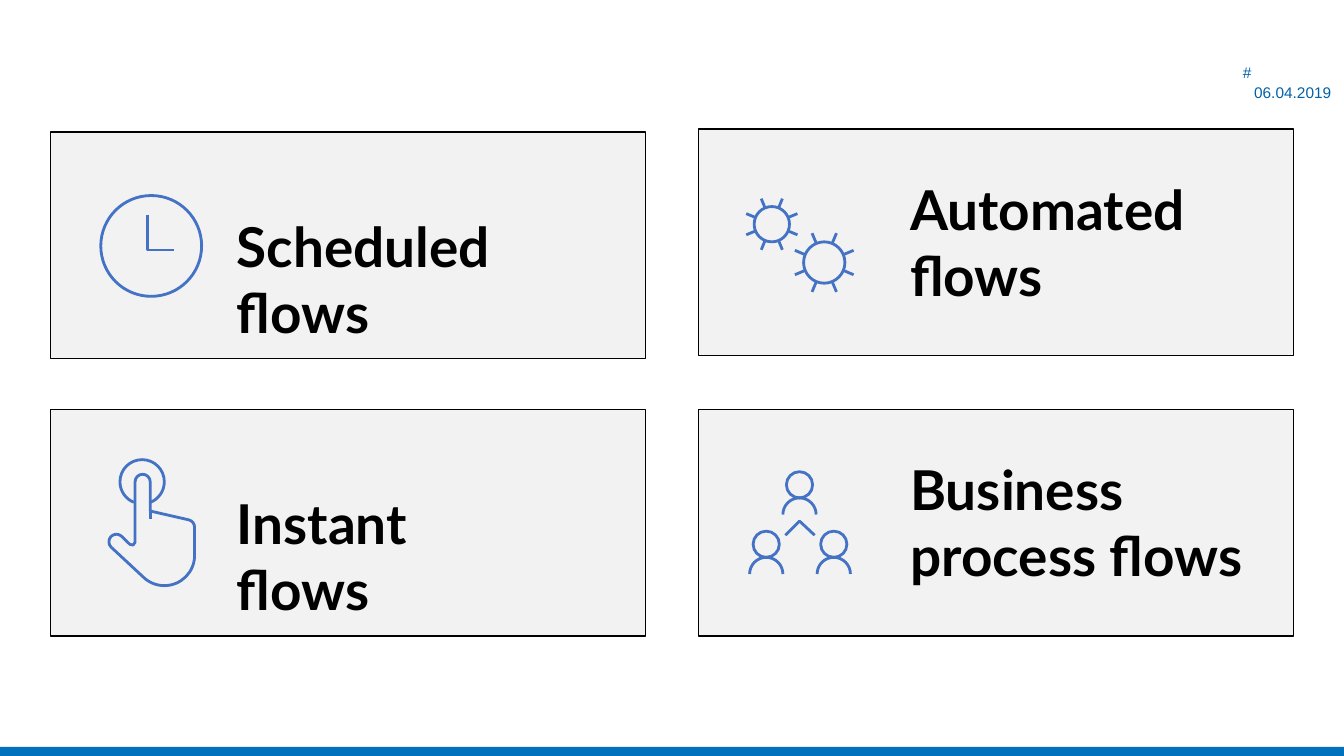
from math import ceil, cos, radians, sin, tan

from pptx import Presentation
from pptx.dml.color import RGBColor
from pptx.enum.shapes import MSO_SHAPE
from pptx.enum.text import MSO_AUTO_SIZE
from pptx.oxml.ns import qn
from pptx.util import Inches, Pt

COLORS = {
    "bar": "0071BC",
    "date": "0060A8",
    "card": "F2F2F2",
    "icon": "4472C4",
    "black": "000000",
}
COLORS = {name: RGBColor.from_string(value) for name, value in COLORS.items()}

deck = Presentation()
deck.slide_width = Inches(13.33)
deck.slide_height = Inches(7.5)
page = deck.slides.add_slide(deck.slide_layouts[6])


def arc(center_x, center_y, radius, start=0, end=360):
    count = ceil(abs(end - start) / 90)
    step = radians((end - start) / count)
    handle = 4 / 3 * tan(step / 4)
    points = [(center_x + radius * cos(radians(start)), center_y + radius * sin(radians(start)))]
    for index in range(count):
        first = radians(start) + index * step
        last = first + step
        for angle, pull in [(first, handle), (last, -handle), (last, 0)]:
            points.append((
                center_x + radius * (cos(angle) - pull * sin(angle)),
                center_y + radius * (sin(angle) + pull * cos(angle)),
            ))
    return points


def add_text(text, left, top, width, height, font_name, size, color, bold=False, wrap=True):
    box = page.shapes.add_textbox(Inches(left), Inches(top), Inches(width), Inches(height))
    box.text_frame.word_wrap = wrap
    box.text_frame.auto_size = MSO_AUTO_SIZE.SHAPE_TO_FIT_TEXT
    box.text_frame.text = text
    font = box.text_frame.paragraphs[0].runs[0].font
    font.name = font_name
    font.size = Pt(size)
    font.bold = bold
    font.color.rgb = COLORS[color]


bar = page.shapes.add_shape(
    MSO_SHAPE.RECTANGLE, 0, Inches(7.41), deck.slide_width, Inches(0.09))
bar.shadow.inherit = False
bar.fill.solid()
bar.fill.fore_color.rgb = COLORS["bar"]
bar.line.fill.background()

add_text("06.04.2019", 12.34, 0.78, 0.97, 0.29, "Arial", 11, "date", wrap=False)
add_text("#", 12.23, 0.58, 1.07, 0.29, "Arial", 11, "date")

for left, top in [(0.5, 1.31), (0.5, 4.06), (6.93, 1.28), (6.93, 4.06)]:
    card = page.shapes.add_shape(
        MSO_SHAPE.RECTANGLE, Inches(left), Inches(top), Inches(5.9), Inches(2.25))
    card.shadow.inherit = False
    card.fill.solid()
    card.fill.fore_color.rgb = COLORS["card"]
    card.line.color.rgb = COLORS["black"]
    card.line.width = Pt(1)

pointing_hand = []
for curve in [
    arc(1.415, 4.78, 0.075, 0, -180),
    arc(1.31, 5.38, 0.03, 0, 135),
    arc(1.155, 5.375, 0.075, -45, -225),
    arc(1.63, 5.51, 0.3, 135, 90) + arc(1.63, 5.51, 0.3, 90, 0)[1:],
    arc(1.855, 5.23, 0.075, 0, -75),
    [(1.49, 5.07)] + [(1.49, 4.78)] * 3,
]:
    if pointing_hand:
        pointing_hand += curve[:1] * 2
    pointing_hand += curve

touch_ring = arc(1.41, 4.78, 0.22, 68, 0)
touch_ring += arc(1.41, 4.78, 0.22, 0, -180)[1:]
touch_ring += arc(1.41, 4.78, 0.22, -180, -248)[1:]
touch_icon = [[(1.49, 5.07)] + [(1.49, 5.15)] * 3, pointing_hand, touch_ring]

clock_hands = [(1.46, 2.13)] + [(1.46, 2.48)] * 3 + [(1.73, 2.48)] * 3
clock_icon = [arc(1.5, 2.44, 0.5), clock_hands]

gears_icon = []
for center_x, center_y, radius, tooth_radius in [
    (7.655, 2.225, 0.175, 0.275),
    (8.175, 2.605, 0.205, 0.315),
]:
    gears_icon.append(arc(center_x, center_y, radius))
    for tooth in range(8):
        angle = radians(22.5 + 45 * tooth)
        root, tip = [
            (center_x + reach * cos(angle), center_y + reach * sin(angle))
            for reach in (radius, tooth_radius)
        ]
        gears_icon.append([root] + [tip] * 3)

people_icon = []
for center_x, head_y in [(7.93, 4.81), (7.6, 5.4), (8.27, 5.4)]:
    people_icon.append(arc(center_x, head_y, 0.13))
    people_icon.append(arc(center_x, head_y + 0.295, 0.165, 0, -180))
people_icon.append([(8.08, 5.31)] + [(7.93, 5.17)] * 3 + [(7.79, 5.31)] * 3)

for icon_outlines in [touch_icon, clock_icon, gears_icon, people_icon]:
    outlines = [
        [(Inches(round(x, 3)), Inches(round(y, 3))) for x, y in outline]
        for outline in icon_outlines
    ]
    builder = page.shapes.build_freeform(*outlines[0][0])
    for outline in outlines:
        if outline is not outlines[0]:
            builder.move_to(*outline[0])
        builder.add_line_segments(outline[1:], close=outline[0] == outline[-1])
    icon = builder.convert_to_shape()
    icon.shadow.inherit = False
    icon.fill.background()
    icon.line.color.rgb = COLORS["icon"]
    icon.line.width = Pt(2)
    segments = list(icon.element.iter(qn("a:lnTo")))
    for index in range(0, len(segments), 3):
        bezier = segments[index].makeelement(qn("a:cubicBezTo"))
        segments[index].addprevious(bezier)
        for segment in segments[index:index + 3]:
            bezier.append(segment[0])
            segment.getparent().remove(segment)

for title, left, top, width, height in [
    ("Scheduled flows", 2.25, 2.06, 3.9, 0.76),
    ("Automated flows", 8.93, 1.69, 3.65, 1.45),
    ("Business process flows", 8.93, 4.47, 3.65, 1.45),
    ("Instant flows", 2.25, 4.81, 3.09, 0.77),
]:
    add_text(title, left, top, width, height, "Lato", 39.2, "black", bold=True)

deck.save("out.pptx")
